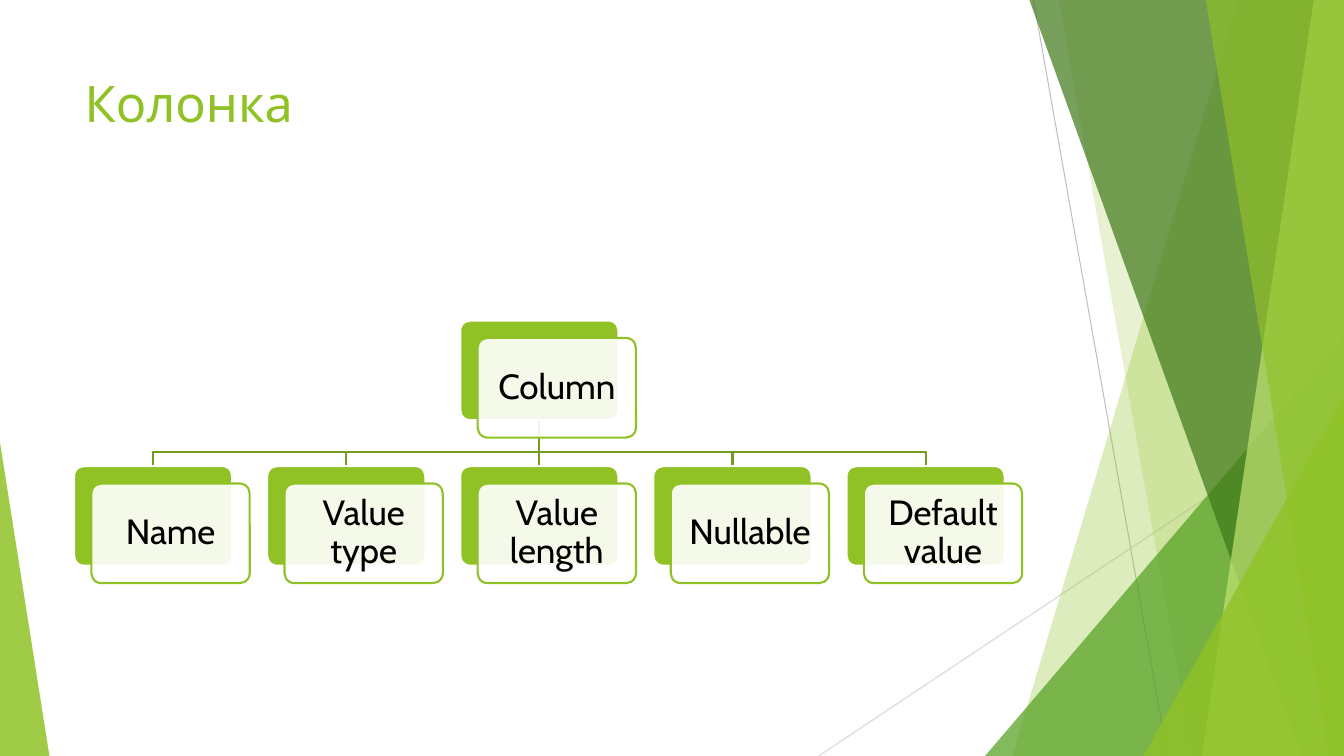
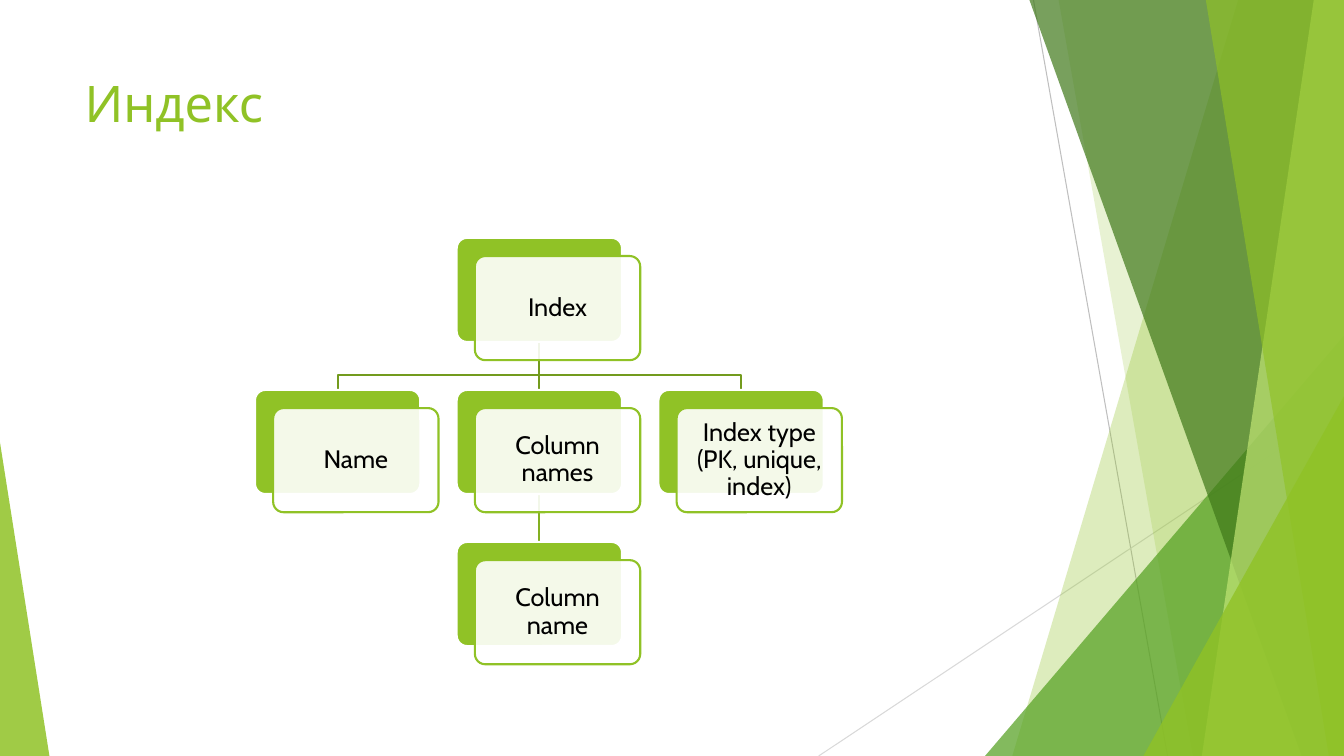
"""Builds two slides with hierarchy diagrams of a database column and index."""
from lxml import etree
from pptx import Presentation
from pptx import util as u
from pptx.dml.color import RGBColor
from pptx.enum import shapes, text
from pptx.oxml.ns import qn

WIDTH, HEIGHT = 13.33, 7.5
FONT = "Cabin"
LIME = RGBColor(0x90, 0xC2, 0x26)
GREEN = RGBColor(0x54, 0xA0, 0x21)
FOREST = RGBColor(0x3F, 0x78, 0x19)
PALE_LIME = RGBColor(0xC0, 0xE4, 0x74)
WHITE = RGBColor(0xFF, 0xFF, 0xFF)
BLACK = RGBColor(0, 0, 0)
GREY = RGBColor(0xBF, 0xBF, 0xBF)
LIGHT_GREY = RGBColor(0xD9, 0xD9, 0xD9)
LINKS = [RGBColor(0x73, 0x9B, 0x1E), RGBColor(0x83, 0xB0, 0x22)]

RAYS = [((10.25, 0), (11.58, HEIGHT), GREY), ((WIDTH, 4.03), (8.12, HEIGHT), LIGHT_GREY)]
FACETS = [
    ("slab", (12.28, 10.04), LIME, 30),
    ("slab", (10.5, 11.83), LIME, 20),
    ("peak", (9.77, 3.33, 3.56, 1), GREEN, 72),
    ("slab", (10.21, 12.91), FOREST, 70),
    ("slab", (13.03, 11.92), PALE_LIME, 70),
    ("slab", (11.96, 13.18), LIME, 65),
    ("peak", (11.34, 3.93, 1.99, 1), LIME, 80),
    ("peak", (0, 4.39, 0.49, 0), LIME, 85),
]

DIAGRAMS = [
    {"title": "Колонка", "top": 3.18, "card": 1.57, "size": 25, "inset": 0.1,
     "nodes": [("Column", None, 0, 0), ("Name", "Column", -2, 1),
               ("Value type", "Column", -1, 1), ("Value length", "Column", 0, 1),
               ("Nullable", "Column", 1, 1), ("Default value", "Column", 2, 1)]},
    {"title": "Индекс", "top": 2.36, "card": 1.64, "size": 18, "inset": 0.07,
     "nodes": [("Index", None, 0, 0), ("Name", "Index", -1, 1),
               ("Column names", "Index", 0, 1), ("Column name", "Column names", 0, 2),
               ("Index type (PK, unique, index)", "Index", 1, 1)]},
]
AXIS = 5.35
COLUMN_PITCH, ROW_PITCH = 1.22, 1.46
CARD_RATIO = 0.63
SHIFT_X, SHIFT_Y = 0.11, 0.11
BEND = 0.69


def paint(shape, color, opacity=100, outline=None):
    """Fill a shape, with optional transparency and outline."""
    shape.shadow.inherit = False
    shape.fill.solid()
    shape.fill.fore_color.rgb = color
    if opacity < 100:
        rgb = shape.element.spPr.find(qn("a:solidFill"))[0]
        etree.SubElement(rgb, qn("a:alpha"), val=str(opacity * 1000))
    if outline is None:
        shape.line.fill.background()
    else:
        shape.line.color.rgb = outline
        shape.line.width = u.Pt(1.5)


def trace(slide, points, close):
    """Draw an outline through points given in inches."""
    corners = [(u.Inches(x), u.Inches(y)) for x, y in points]
    builder = slide.shapes.build_freeform(*corners[0])
    builder.add_line_segments(corners[1:], close=close)
    return builder.convert_to_shape()


def straight(slide, start, end, color, weight):
    """Draw a straight connector without a shadow."""
    line = slide.shapes.add_connector(
        shapes.MSO_CONNECTOR.STRAIGHT, *[u.Inches(v) for v in start + end])
    line.line.color.rgb = color
    line.line.width = u.Pt(weight)
    etree.SubElement(line.element.spPr, qn("a:effectLst"))
    return line


def draw_facet(slide, kind, place):
    """Draw one slab to the right edge or one triangle on the bottom edge."""
    if kind == "slab":
        top_x, bottom_x = place
        return trace(slide, [(top_x, 0), (WIDTH, 0), (WIDTH, HEIGHT), (bottom_x, HEIGHT)], True)
    left, top, width, apex = place
    peak = slide.shapes.add_shape(
        shapes.MSO_SHAPE.ISOSCELES_TRIANGLE,
        *[u.Inches(v) for v in (left, top, width, HEIGHT - top)])
    peak.adjustments[0] = apex
    return peak


def decorate(layout, slide):
    """Draw the shared backdrop and move it to the layout."""
    backdrop = [straight(slide, *ray, 0.75) for ray in RAYS]
    for kind, place, color, opacity in FACETS:
        facet = draw_facet(slide, kind, place)
        paint(facet, color, opacity)
        backdrop.append(facet)
    for holder in list(layout.placeholders):
        if holder.placeholder_format.type != shapes.PP_PLACEHOLDER.TITLE:
            holder.element.getparent().remove(holder.element)
    tree = layout.element.cSld.spTree
    for position, part in enumerate(backdrop, 2):
        tree.insert(position, part.element)


def set_title(title, wording):
    """Place and format the title placeholder."""
    title.left, title.top, title.width, title.height = [
        u.Inches(v) for v in (0.74, 0.67, 9.4, 1.44)]
    title.text_frame.text = wording
    title.text_frame.vertical_anchor = text.MSO_ANCHOR.TOP
    heading = title.text_frame.paragraphs[0]
    heading.alignment = text.PP_ALIGN.LEFT
    heading.font.name, heading.font.size = FONT, u.Pt(36)
    heading.font.color.rgb = LIME


def add_card(slide, left, top, width, height):
    """Add a slightly rounded rectangle."""
    card = slide.shapes.add_shape(
        shapes.MSO_SHAPE.ROUNDED_RECTANGLE,
        *[u.Inches(v) for v in (left, top, width, height)])
    card.adjustments[0] = 0.1
    return card


def write_label(card, wording, size, inset):
    """Write the centred label of a card."""
    frame = card.text_frame
    frame.word_wrap = True
    frame.vertical_anchor = text.MSO_ANCHOR.MIDDLE
    frame.margin_left = frame.margin_right = u.Inches(inset)
    frame.margin_top = frame.margin_bottom = u.Inches(inset)
    frame.text = wording
    label = frame.paragraphs[0]
    label.alignment = text.PP_ALIGN.CENTER
    label.line_spacing = 0.9
    label.font.name, label.font.size = FONT, u.Pt(size)
    label.font.color.rgb = BLACK


def draw_link(slide, parent, child, color):
    """Link the bottom of a parent to the top of its child."""
    (base, x, y), (tip, child_x, child_y) = parent, child
    if x == child_x:
        link = straight(slide, (x, y), (child_x, child_y), color, 1.5)
        link.begin_connect(base, 2)
        link.end_connect(tip, 0)
    else:
        bend = y + BEND * (child_y - y)
        link = trace(slide, [(x, y), (x, bend), (child_x, bend), (child_x, child_y)], False)
        link.shadow.inherit = False
        link.fill.background()
        link.line.color.rgb = color
        link.line.width = u.Pt(1.5)
    slide.shapes.title.element.addnext(link.element)


def draw_hierarchy(slide, diagram):
    """Draw the double cards of a hierarchy and the links behind them."""
    width = diagram["card"]
    height = CARD_RATIO * width
    feet, heads = {}, {}
    for wording, parent, column, row in diagram["nodes"]:
        center = AXIS + column * COLUMN_PITCH * width
        left, top = center - width / 2, diagram["top"] + row * ROW_PITCH * height
        back = add_card(slide, left, top, width, height)
        paint(back, LIME, outline=WHITE)
        front = add_card(slide, left + SHIFT_X * width, top + SHIFT_Y * width, width, height)
        paint(front, WHITE, 90, LIME)
        write_label(front, wording, diagram["size"], diagram["inset"])
        heads[wording] = (back, center, top)
        feet[wording] = (back, center, top + height)
    for wording, parent, column, row in diagram["nodes"]:
        if parent:
            draw_link(slide, feet[parent], heads[wording], LINKS[row - 1])


def main():
    """Build and save the presentation."""
    deck = Presentation()
    deck.slide_width, deck.slide_height = u.Inches(WIDTH), u.Inches(HEIGHT)
    layout = deck.slide_layouts[5]
    slides = [deck.slides.add_slide(layout) for diagram in DIAGRAMS]
    decorate(layout, slides[0])
    for slide, diagram in zip(slides, DIAGRAMS):
        set_title(slide.shapes.title, diagram["title"])
        draw_hierarchy(slide, diagram)
    deck.save("out.pptx")


if __name__ == "__main__":
    main()
